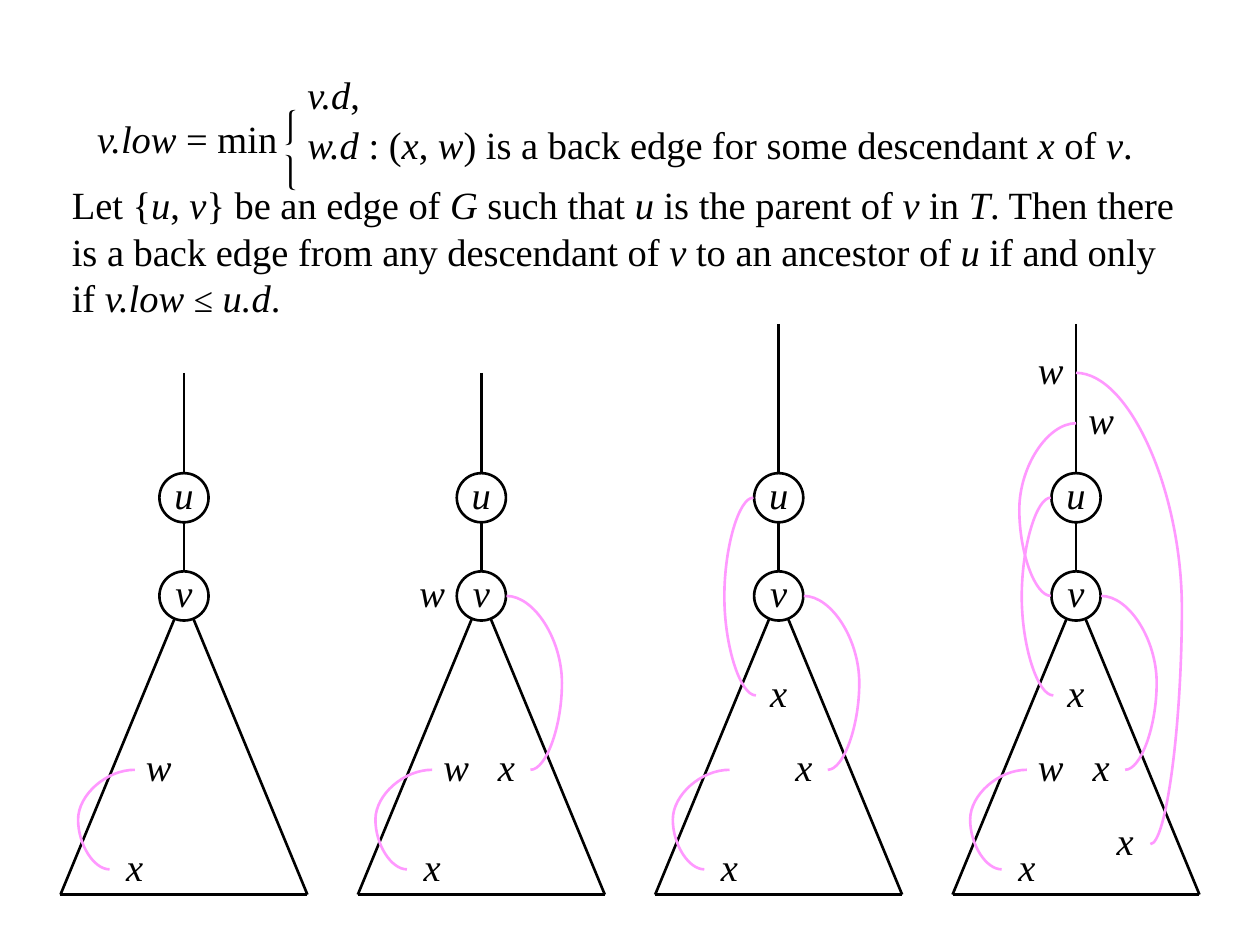
from lxml.etree import SubElement
from pptx import Presentation
from pptx.dml.color import RGBColor
from pptx.enum.shapes import MSO_CONNECTOR, MSO_SHAPE
from pptx.enum.text import MSO_ANCHOR, MSO_AUTO_SIZE, PP_ALIGN
from pptx.oxml.ns import qn
from pptx.util import Inches, Pt

THEME = {
    "font": "Times New Roman",
    "size": Pt(22),
    "symbol_size": Pt(20),
    "ink": RGBColor(0, 0, 0),
    "paper": RGBColor(255, 255, 255),
    "back_edge": RGBColor(0xFF, 0x99, 0xFF),
    "stroke": Pt(1.5),
    "label_stroke": Pt(2),
    "plain_table": "{2D5ABB26-0587-4C30-8999-92F81FD0307C}",
}
SYMBOLS = ("≤", "⎰⎱")

# Content: text between asterisks is italic
LOW = "*v.low *= min"
BRACE = "⎰⎱"
CASES = [
    "*v.d*,",
    "*w.d* : (*x*, *w*) is a back edge for some descendant *x* of *v*.",
]
CLAIM = ("Let {*u*, *v*} be an edge of *G *such that *u* is the parent of *v* in *T*. "
         "Then there is a back edge from any descendant of *v* to an ancestor of *u* "
         "if and only if *v.low *≤** *u.d*.")

# Levels of the trees, in inches from the top
U, V, BASE = 3.95, 4.73, 7.1
UPPER, MIDDLE, LOWER = 5.52, 6.11, 6.9

# Labels: text, offset from the tree axis, level
LOW_W, LOW_X = ("w", -0.2, MIDDLE), ("x", -0.39, LOWER)
RIGHT_X, UPPER_X = ("x", 0.2, MIDDLE), ("x", 0, UPPER)

# Back edges: start offset and level, end offset and level, side of the bulge
INNER = (-0.59, LOWER, -0.39, MIDDLE, -1)
TO_V = (0.39, MIDDLE, 0.2, V, 1)
TO_U = (-0.18, UPPER, -0.2, U, -1)

TREES = [
    {"top": 2.96, "labels": [LOW_W, LOW_X], "edges": [INNER]},
    {"top": 2.96, "labels": [("w", -0.39, V), LOW_W, LOW_X, RIGHT_X],
     "edges": [TO_V, INNER]},
    {"top": 2.57, "labels": [UPPER_X, LOW_X, RIGHT_X], "edges": [TO_V, INNER, TO_U]},
    {"top": 2.57,
     "labels": [LOW_W, UPPER_X, LOW_X, ("x", 0.39, 6.7), ("w", -0.2, 2.96),
                RIGHT_X, ("w", 0.2, 3.36)],
     "edges": [TO_V, (0.59, 6.7, 0, 2.96, 1), INNER, TO_U, (-0.2, V, 0, 3.36, -1)]},
]
FIRST_AXIS, TREE_PITCH, HALF_BASE = 1.46, 2.36, 0.98
NODE, BULGE = 0.39, 0.25


def set_all(target, values):
    for name, value in values.items():
        setattr(target, name, value)


def write(paragraph, marked):
    for index, part in enumerate(marked.split("*")):
        if not part:
            continue
        run = paragraph.add_run()
        run.text = part
        size = THEME["symbol_size"] if part in SYMBOLS else THEME["size"]
        set_all(run.font, {"name": THEME["font"], "size": size, "italic": index % 2 == 1})
        run.font.color.rgb = THEME["ink"]


def add_disc(slide, letter, x, y, line, stroke):
    disc = slide.shapes.add_shape(MSO_SHAPE.OVAL, Inches(x - NODE / 2), Inches(y - NODE / 2),
                                  Inches(NODE), Inches(NODE))
    disc.shadow.inherit = False
    disc.fill.solid()
    disc.fill.fore_color.rgb = THEME["paper"]
    disc.line.color.rgb = line
    disc.line.width = stroke
    frame = disc.text_frame
    set_all(frame, {
        "word_wrap": False, "vertical_anchor": MSO_ANCHOR.MIDDLE,
        "margin_left": Inches(0.1), "margin_right": Inches(0.1),
        "margin_top": 0, "margin_bottom": Inches(0.06),
    })
    frame.paragraphs[0].alignment = PP_ALIGN.CENTER
    write(frame.paragraphs[0], f"*{letter}*")


def add_edge(slide, kind, x0, y0, x1, y1, color):
    edge = slide.shapes.add_connector(kind, Inches(x0), Inches(y0), Inches(x1), Inches(y1))
    edge.line.color.rgb = color
    edge.line.width = THEME["stroke"]
    SubElement(edge._element.spPr, qn("a:effectLst"))
    return edge


def add_back_edge(slide, axis, x0, y0, x1, y1, side):
    edge = add_edge(slide, MSO_CONNECTOR.CURVE, axis + x0, y0, axis + x1, y1,
                    THEME["back_edge"])
    bend = round(side * BULGE / (x1 - x0) * 100000)
    guides = edge._element.spPr.find(qn("a:prstGeom")).get_or_add_avLst()
    SubElement(guides, qn("a:gd"), name="adj1", fmla=f"val {bend}")


def add_tree(slide, axis, tree):
    for letter, offset, level in tree["labels"]:
        add_disc(slide, letter, axis + offset, level, THEME["paper"], THEME["label_stroke"])
    left, right = axis - HALF_BASE, axis + HALF_BASE
    for ends in [(axis, V, right, BASE), (left, BASE, axis, V), (left, BASE, right, BASE),
                 (axis, U + NODE / 2, axis, V - NODE / 2),
                 (axis, tree["top"], axis, U - NODE / 2)]:
        add_edge(slide, MSO_CONNECTOR.STRAIGHT, *ends, THEME["ink"])
    for letter, level in (("u", U), ("v", V)):
        add_disc(slide, letter, axis, level, THEME["ink"], THEME["stroke"])
    for edge in tree["edges"]:
        add_back_edge(slide, axis, *edge)


def add_claim(slide):
    claim = slide.placeholders[1]
    set_all(claim, {"left": Inches(0.47), "top": Inches(1.39),
                    "width": Inches(9.06), "height": Inches(1.18)})
    claim.text_frame.auto_size = MSO_AUTO_SIZE.NONE
    paragraph = claim.text_frame.paragraphs[0]
    properties = paragraph._p.get_or_add_pPr()
    properties.set("marL", "0")
    properties.set("indent", "0")
    SubElement(properties, qn("a:buNone"))
    set_all(paragraph, {"space_before": Pt(0), "line_spacing": 1.0})
    write(paragraph, CLAIM)


def add_definition(slide):
    table = slide.shapes.add_table(2, 3, Inches(0.67), Inches(0.6),
                                   Inches(8.46), Inches(0.79)).table
    set_all(table, {"first_row": False, "horz_banding": False})
    # A style without borders
    table._tbl.tblPr.find(qn("a:tableStyleId")).text = THEME["plain_table"]
    for column, width in zip(table.columns, (1.57, 0.2, 6.69)):
        column.width = Inches(width)
    for cell in table.iter_cells():
        cell.fill.background()
        set_all(cell, {"margin_left": 0, "margin_right": 0,
                       "margin_top": 0, "margin_bottom": 0})
    low, brace = table.cell(0, 0), table.cell(0, 1)
    for column, cell in enumerate((low, brace)):
        cell.merge(table.cell(1, column))
        cell.vertical_anchor = MSO_ANCHOR.MIDDLE
    set_all(low, {"margin_right": Inches(0.04), "margin_bottom": Inches(0.08)})
    entries = [(low, LOW, PP_ALIGN.RIGHT), (brace, BRACE, PP_ALIGN.LEFT)]
    entries += [(table.cell(row, 2), case, PP_ALIGN.LEFT) for row, case in enumerate(CASES)]
    for cell, marked, alignment in entries:
        paragraph = cell.text_frame.paragraphs[0]
        paragraph.alignment = alignment
        write(paragraph, marked)
    brace.text_frame.paragraphs[0].line_spacing = Pt(26)


def main():
    deck = Presentation()
    deck.slide_width, deck.slide_height = Inches(10), Inches(7.5)
    slide = deck.slides.add_slide(deck.slide_layouts[1])

    # The slide has body text but no title
    title = slide.shapes.title._element
    title.getparent().remove(title)

    add_claim(slide)
    for index, tree in enumerate(TREES):
        add_tree(slide, FIRST_AXIS + index * TREE_PITCH, tree)
    add_definition(slide)
    deck.save("out.pptx")


if __name__ == "__main__":
    main()
